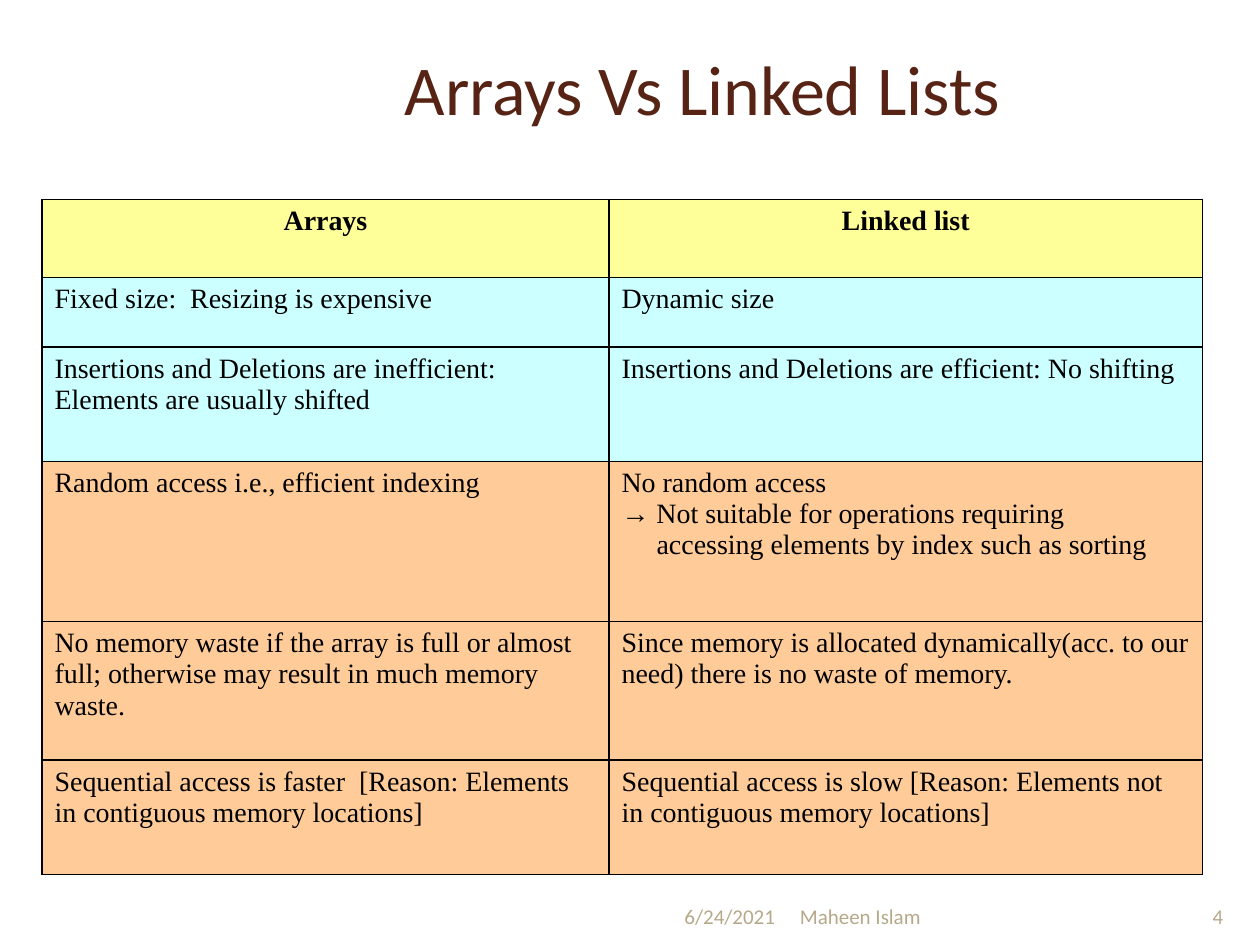
from lxml import etree
from pptx import Presentation
from pptx.dml.color import RGBColor
from pptx.enum.text import MSO_ANCHOR, PP_ALIGN
from pptx.oxml.ns import qn
from pptx.util import Pt

LEFT, CENTER, RIGHT = PP_ALIGN.LEFT, PP_ALIGN.CENTER, PP_ALIGN.RIGHT
MIDDLE, BOTTOM = MSO_ANCHOR.MIDDLE, MSO_ANCHOR.BOTTOM

BROWN = RGBColor(0x57, 0x23, 0x14)
TAN = RGBColor(0xB6, 0xA9, 0x8A)
BLACK = RGBColor(0, 0, 0)
YELLOW = RGBColor(0xFF, 0xFF, 0x99)
CYAN = RGBColor(0xCC, 0xFF, 0xFF)
ORANGE = RGBColor(0xFF, 0xCC, 0x99)

SANS, SERIF = "Calibri", "Times New Roman"
HANG = 20

COLS = [324, 339.1]
ROWS = [
    (44.6, YELLOW, "Arrays", "Linked list"),
    (39.6, CYAN, "Fixed size:  Resizing is expensive", "Dynamic size"),
    (65.5, CYAN,
     "Insertions and Deletions are inefficient: Elements are usually shifted",
     "Insertions and Deletions are efficient: No shifting"),
    (91.5, ORANGE, "Random access i.e., efficient indexing",
     "No random access\n→ Not suitable for operations requiring\n"
     "accessing elements by index such as sorting"),
    (79.2, ORANGE,
     "No memory waste if the array is full or almost full; "
     "otherwise may result in much memory waste.",
     "Since memory is allocated dynamically(acc. to our need) "
     "there is no waste of memory."),
    (65.5, ORANGE,
     "Sequential access is faster  [Reason: Elements in contiguous memory locations]",
     "Sequential access is slow [Reason: Elements not in contiguous memory locations]"),
]


def style(para, face, size, color, align=LEFT, bold=False):
    """Set the font and alignment of one paragraph."""
    para.alignment = align
    font = para.font
    font.name, font.size, font.bold = face, Pt(size), bold
    font.color.rgb = color


def place(shape, box):
    """Move a shape to a box given in points."""
    shape.left, shape.top, shape.width, shape.height = map(Pt, box)


def add_title(slide, box):
    """Fill the title placeholder, set right of centre by its inset."""
    title = slide.shapes.title
    place(title, box)
    frame = title.text_frame
    frame.text = "Arrays Vs Linked Lists"
    frame.margin_left = Pt(114)
    frame.vertical_anchor = MIDDLE
    style(frame.paragraphs[0], SANS, 40, BROWN, CENTER)


def add_edges(cell):
    """Draw a thin black line on each side of a cell."""
    props = cell._tc.get_or_add_tcPr()
    for spot, side in enumerate(("a:lnL", "a:lnR", "a:lnT", "a:lnB")):
        line = etree.Element(qn(side), w=str(Pt(1)))
        fill = etree.SubElement(line, qn("a:solidFill"))
        etree.SubElement(fill, qn("a:srgbClr"), val=str(BLACK))
        props.insert(spot, line)


def fill_cell(cell, text, color, head):
    """Write and colour one cell, indenting the line below an arrow."""
    cell.fill.solid()
    cell.fill.fore_color.rgb = color
    add_edges(cell)
    cell.text_frame.text = text
    arrow = False
    for para in cell.text_frame.paragraphs:
        if arrow:
            para._p.get_or_add_pPr().set("marL", str(Pt(HANG)))
        arrow = para.text.startswith("→")
        style(para, SERIF, 16, BLACK, CENTER if head else LEFT, head)


def add_grid(slide, box):
    """Build the comparison table in its box."""
    table = slide.shapes.add_table(len(ROWS), len(COLS), *map(Pt, box)).table
    for col, width in zip(table.columns, COLS):
        col.width = Pt(width)
    for r, (height, color, *texts) in enumerate(ROWS):
        table.rows[r].height = Pt(height)
        for c, text in enumerate(texts):
            fill_cell(table.cell(r, c), text, color, r == 0)


def add_foot(slide, box):
    """Set date, author and page number side by side in the box."""
    left, top, _, height = box
    parts = [("6/24/2021", 168, RIGHT), ("Maheen Islam", 228, LEFT),
             ("4", 36, CENTER)]
    for text, width, align in parts:
        note = slide.shapes.add_textbox(*map(Pt, (left, top, width, height)))
        frame = note.text_frame
        frame.word_wrap = True
        frame.vertical_anchor = BOTTOM
        frame.text = text
        style(frame.paragraphs[0], SANS, 12, TAN, align)
        left += width


def main():
    """Build and save the slide."""
    deck = Presentation()
    deck.slide_width, deck.slide_height = Pt(720), Pt(540)
    slide = deck.slides.add_slide(deck.slide_layouts[5])
    add_title(slide, (24, 24, 648, 52.5))
    add_grid(slide, (24, 114, sum(COLS), sum(row[0] for row in ROWS)))
    add_foot(slide, (282, 497, 432, 37.5))
    deck.save("out.pptx")


if __name__ == "__main__":
    main()
